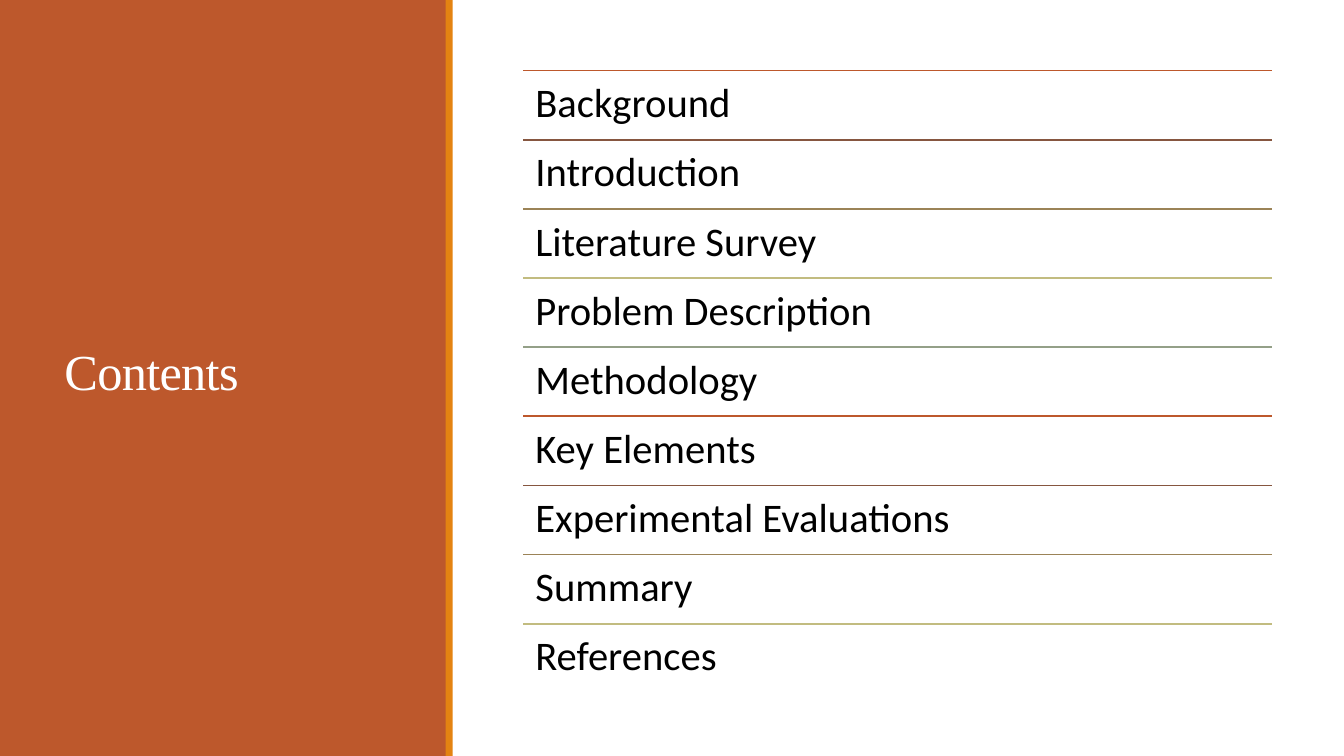
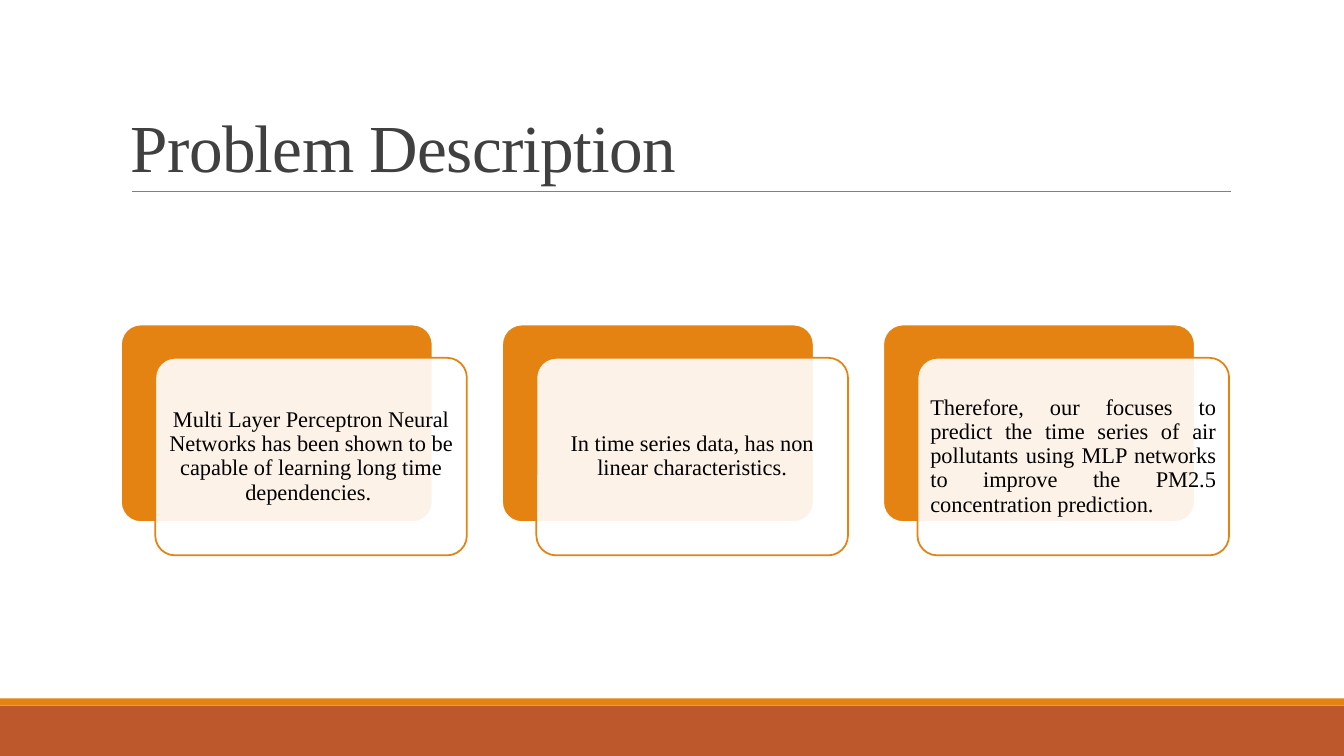
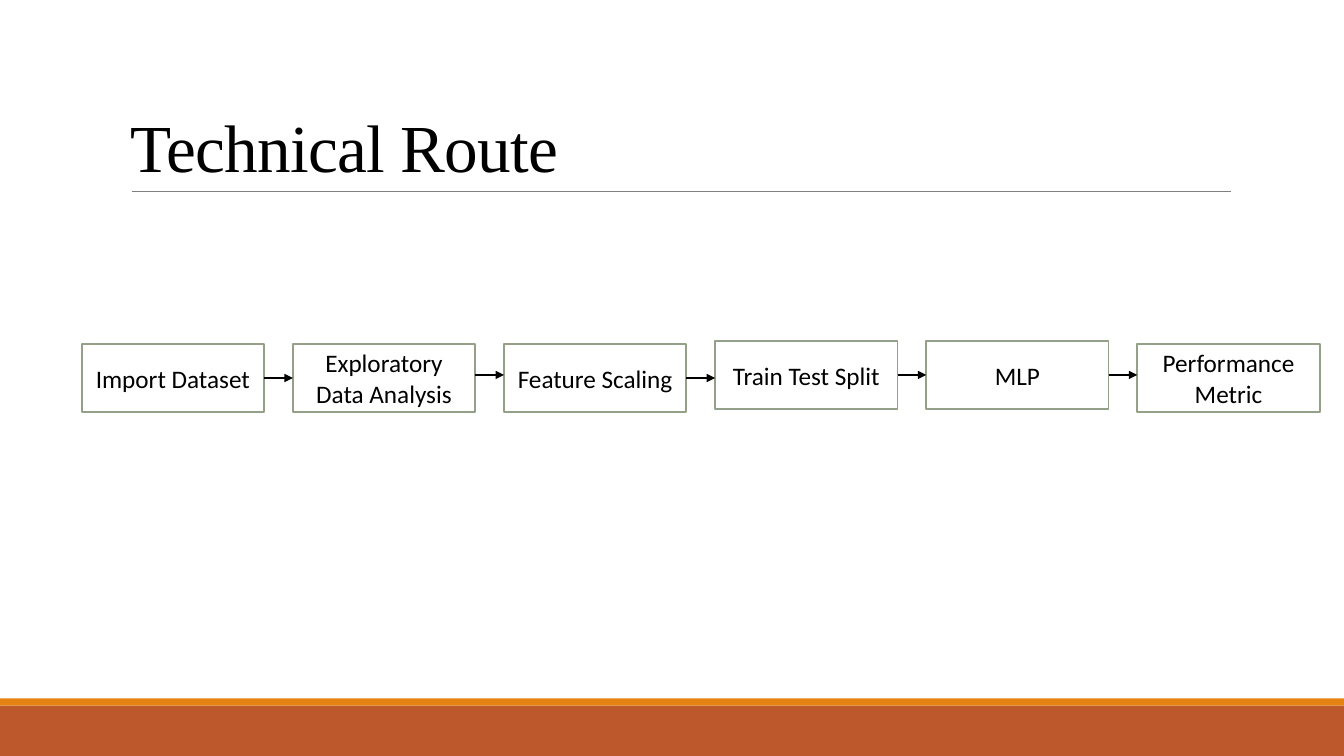
from pptx import Presentation
from pptx.dml.color import RGBColor
from pptx.enum.shapes import MSO_CONNECTOR, MSO_SHAPE
from pptx.enum.text import MSO_ANCHOR, PP_ALIGN
from pptx.oxml.ns import qn
from pptx.util import Inches, Pt
from lxml.etree import SubElement

WHITE = RGBColor(0xFF, 0xFF, 0xFF)
BLACK = RGBColor(0x00, 0x00, 0x00)
DARK_GRAY = RGBColor(0x40, 0x40, 0x40)
RULE_GRAY = RGBColor(0x80, 0x80, 0x80)
RUST = RGBColor(0xBD, 0x58, 0x2C)
ORANGE = RGBColor(0xE4, 0x83, 0x12)
BROWN = RGBColor(0x86, 0x56, 0x40)
TAN = RGBColor(0x9B, 0x83, 0x57)
KHAKI = RGBColor(0xC2, 0xBC, 0x80)
SAGE = RGBColor(0x94, 0xA0, 0x88)

SERIF = "Times New Roman"
SANS = "Calibri"
SLIDE_WIDTH = 13.33
SLIDE_HEIGHT = 7.5

CONTENTS = [
    "Background", "Introduction", "Literature Survey", "Problem Description",
    "Methodology", "Key Elements", "Experimental Evaluations", "Summary",
    "References",
]
RULE_COLORS = [RUST, BROWN, TAN, KHAKI, SAGE]

PROBLEMS = [
    ("Multi Layer Perceptron Neural Networks has been shown to be capable of "
     "learning long time dependencies. ", PP_ALIGN.CENTER),
    ("In time series data, has non linear characteristics.", PP_ALIGN.CENTER),
    ("Therefore, our focuses to predict the time series of air pollutants using "
     "MLP networks to improve the PM2.5 concentration prediction.",
     PP_ALIGN.JUSTIFY),
]

STEPS = [
    ("Import Dataset", 3.41),
    ("Exploratory Data Analysis", 3.41),
    ("Feature Scaling", 3.41),
    ("Train Test Split", 3.38),
    ("MLP", 3.38),
    ("Performance Metric", 3.41),
]
ARROW_HEIGHTS = [3.75, 3.72, 3.75, 3.72, 3.72]


def add_blank_slide(presentation):
    return presentation.slides.add_slide(presentation.slide_layouts[6])


def write_text(shape, text, font_name, size, color, anchor=MSO_ANCHOR.MIDDLE,
               align=PP_ALIGN.LEFT, line_spacing=1.0, inset=None):
    frame = shape.text_frame
    frame.word_wrap = True
    frame.vertical_anchor = anchor
    if inset is not None:
        frame.margin_left = frame.margin_right = Inches(inset)
        frame.margin_top = frame.margin_bottom = Inches(inset)
    paragraph = frame.paragraphs[0]
    paragraph.text = text
    paragraph.alignment = align
    paragraph.line_spacing = line_spacing
    paragraph.font.name = font_name
    paragraph.font.size = Pt(size)
    paragraph.font.color.rgb = color
    return paragraph


def add_text(slide, left, top, width, height, *text, **style):
    box = slide.shapes.add_textbox(
        Inches(left), Inches(top), Inches(width), Inches(height))
    return write_text(box, *text, **style)


def add_box(slide, left, top, width, height, fill, line=None,
            kind=MSO_SHAPE.RECTANGLE):
    shape = slide.shapes.add_shape(
        kind, Inches(left), Inches(top), Inches(width), Inches(height))
    shape.shadow.inherit = False
    shape.fill.solid()
    shape.fill.fore_color.rgb = fill
    if line is None:
        shape.line.fill.background()
    else:
        shape.line.color.rgb = line
        shape.line.width = Pt(1.25)
    return shape


def add_line(slide, start, end, y, color, width, arrow=False):
    connector = slide.shapes.add_connector(
        MSO_CONNECTOR.STRAIGHT, Inches(start), Inches(y), Inches(end), Inches(y))
    connector.line.color.rgb = color
    connector.line.width = Pt(width)
    if arrow:
        SubElement(connector.line._get_or_add_ln(), qn("a:tailEnd"),
                   type="triangle")
    SubElement(connector._element.spPr, qn("a:effectLst"))


def add_title(slide, left, top, width, height, text, size, color, anchor):
    paragraph = add_text(slide, left, top, width, height, text, SERIF, size,
                         color, anchor=anchor, line_spacing=0.85)
    paragraph.runs[0].font._element.set("spc", "-50")


def add_content_slide(presentation, title, color):
    slide = add_blank_slide(presentation)
    add_box(slide, 0, 7, SLIDE_WIDTH, 0.5, RUST)
    add_box(slide, 0, 6.93, SLIDE_WIDTH, 0.07, ORANGE)
    add_line(slide, 1.31, 12.21, 1.9, RULE_GRAY, 0.5)
    add_title(slide, 1.2, 0.31, 11, 1.59, title, 48, color, MSO_ANCHOR.BOTTOM)
    return slide


def add_card(slide, left, text, align):
    width, height, top, offset = 3.09, 1.96, 3.22, 0.34
    back = add_box(slide, left, top, width, height, ORANGE, WHITE,
                   MSO_SHAPE.ROUNDED_RECTANGLE)
    front = add_box(slide, left + offset, top + 0.33, width, height, WHITE,
                    ORANGE, MSO_SHAPE.ROUNDED_RECTANGLE)
    for shape in (back, front):
        shape.adjustments[0] = 0.1
    fill_color = front._element.spPr.find(qn("a:solidFill"))[0]
    SubElement(fill_color, qn("a:alpha"), val="90000")
    write_text(front, text, SERIF, 16, BLACK, align=align, line_spacing=0.9,
               inset=0.07)


def build_contents(presentation):
    slide = add_blank_slide(presentation)
    add_box(slide, 0, 0, 4.43, SLIDE_HEIGHT, RUST)
    add_title(slide, 0.54, 0.57, 3.37, 6.31, "Contents", 36, WHITE,
              MSO_ANCHOR.MIDDLE)
    add_box(slide, 4.42, 0, 0.07, SLIDE_HEIGHT, ORANGE)
    left, width, first_top, pitch = 5.19, 7.43, 0.7, 0.686
    for index, entry in enumerate(CONTENTS):
        top = first_top + index * pitch
        add_line(slide, left, left + width, top,
                 RULE_COLORS[index % len(RULE_COLORS)], 1.25)
        add_text(slide, left, top, width, pitch, entry, SANS, 29, BLACK,
                 anchor=MSO_ANCHOR.TOP, line_spacing=0.9, inset=0.12)


def build_problem(presentation):
    slide = add_content_slide(presentation, "Problem Description", DARK_GRAY)
    for index, (text, align) in enumerate(PROBLEMS):
        add_card(slide, 1.2 + index * 3.78, text, align)


def build_route(presentation):
    slide = add_content_slide(presentation, "Technical Route", BLACK)
    width, height, pitch = 1.81, 0.68, 2.094
    lefts = [0.81 + index * pitch for index in range(len(STEPS))]
    for left, (label, top) in zip(lefts, STEPS):
        box = add_box(slide, left, top, width, height, WHITE, SAGE)
        write_text(box, label, SANS, 18, BLACK, align=PP_ALIGN.CENTER)
    for left, next_left, y in zip(lefts, lefts[1:], ARROW_HEIGHTS):
        add_line(slide, left + width, next_left, y, BLACK, 1, arrow=True)


def main():
    presentation = Presentation()
    presentation.slide_width = Inches(SLIDE_WIDTH)
    presentation.slide_height = Inches(SLIDE_HEIGHT)
    build_contents(presentation)
    build_problem(presentation)
    build_route(presentation)
    presentation.save("out.pptx")


main()
